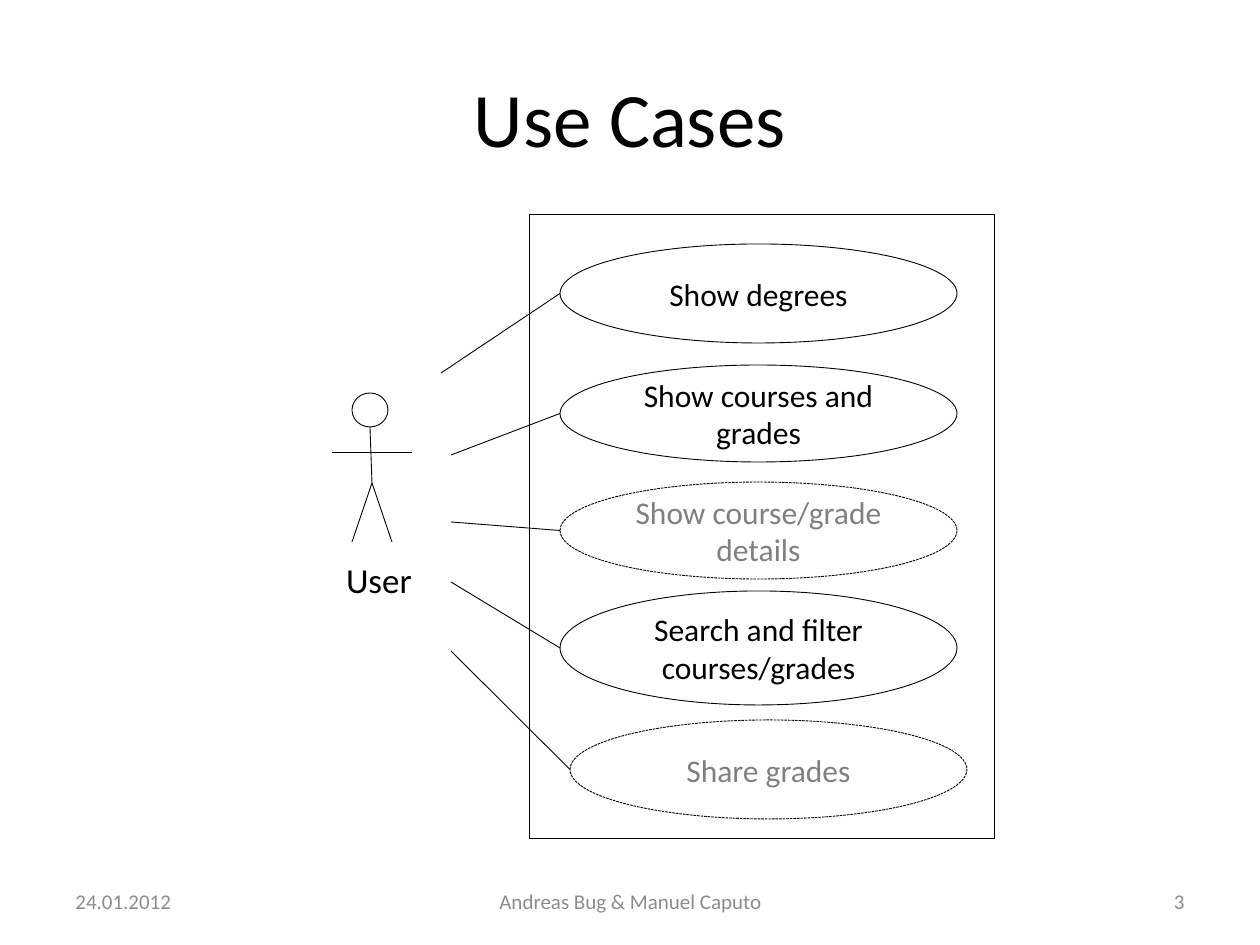
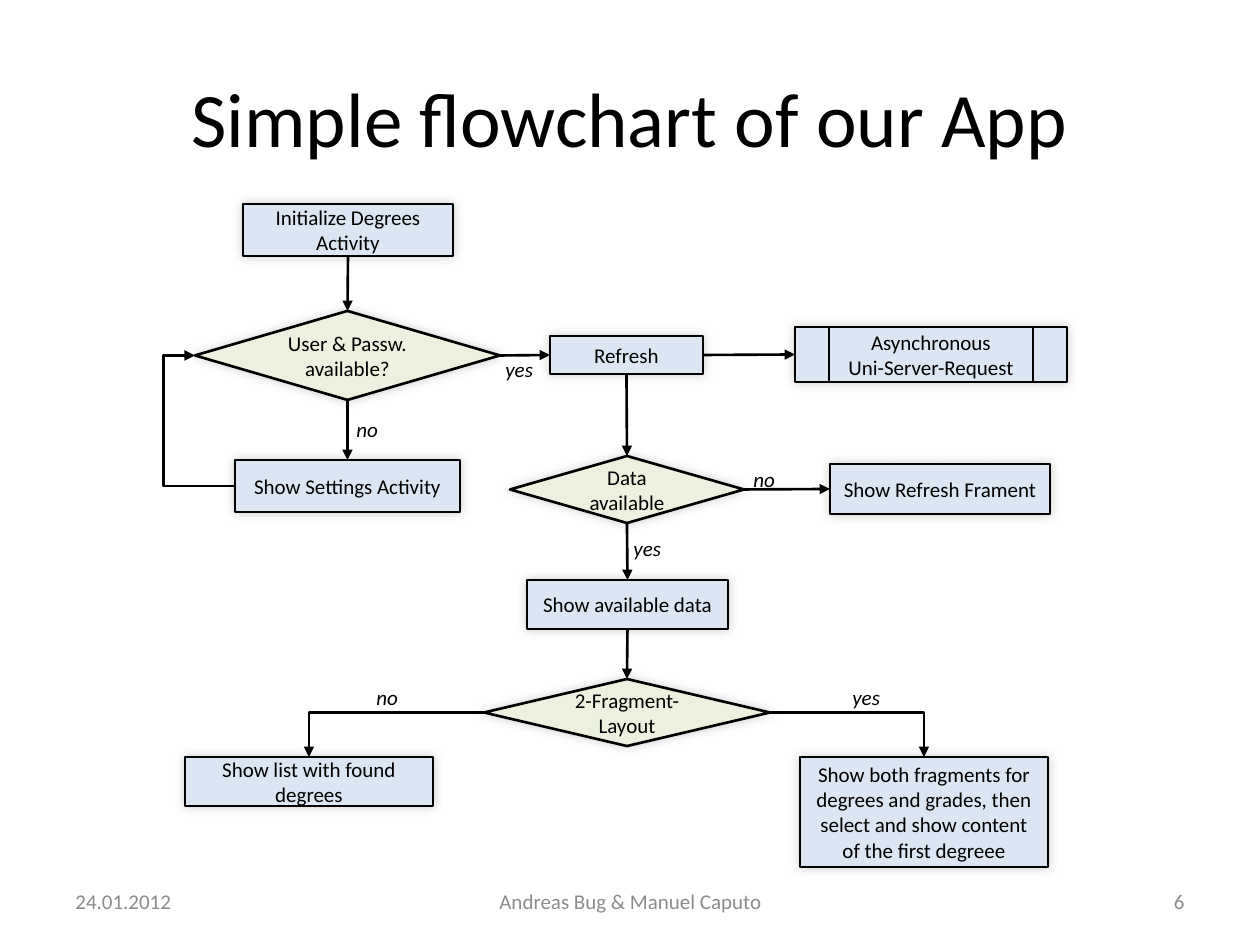
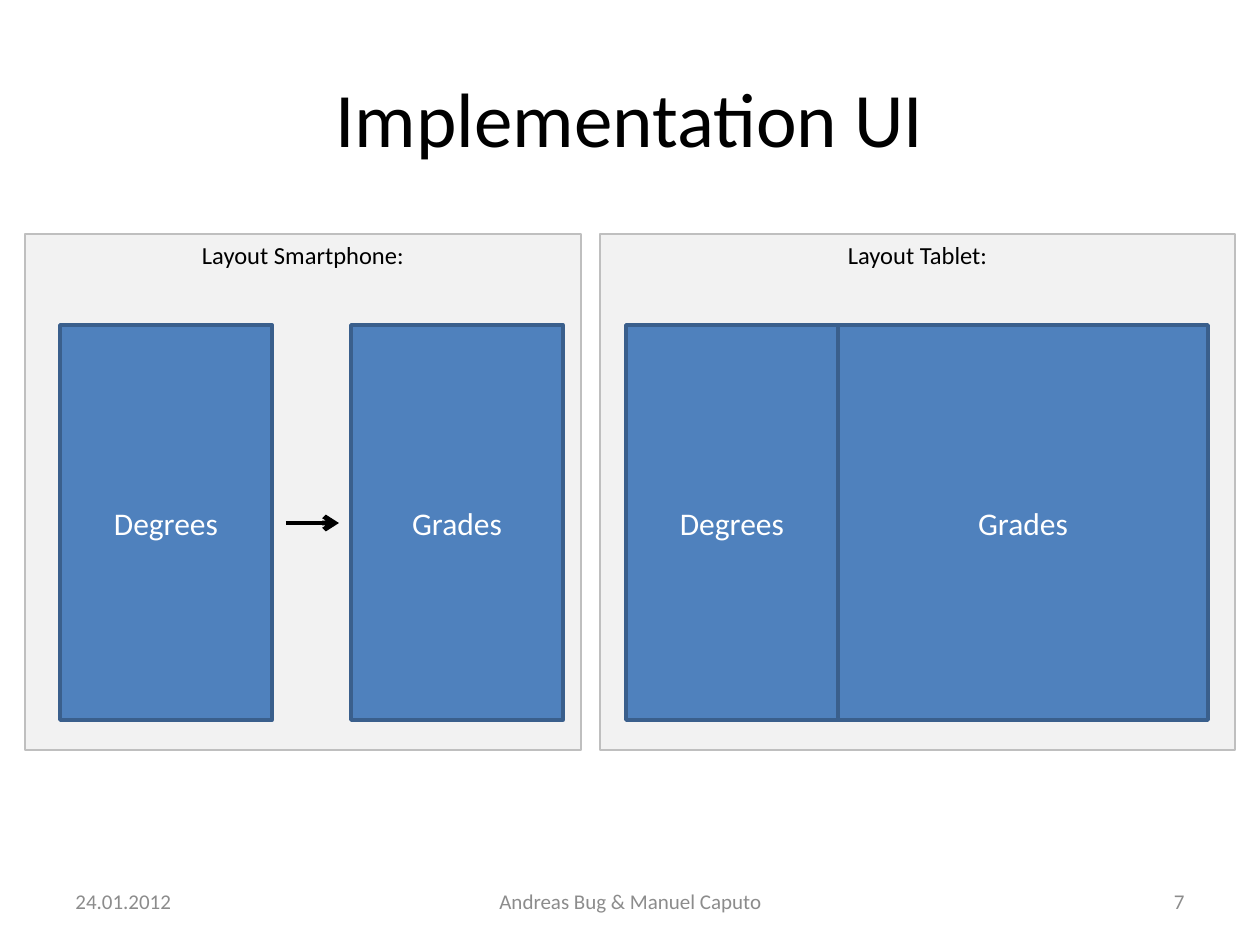
import pptx
import pptx.util
import pptx.dml.color
import pptx.enum.dml
import pptx.enum.shapes
import pptx.enum.text
import pptx.oxml
import pptx.oxml.ns
import lxml.etree

RGBColor = pptx.dml.color.RGBColor
SHAPE = pptx.enum.shapes.MSO_SHAPE
CONNECTOR = pptx.enum.shapes.MSO_CONNECTOR
ALIGN = pptx.enum.text.PP_ALIGN
ANCHOR = pptx.enum.text.MSO_ANCHOR

PX = 914400 / 126
FONT = "Calibri"
BLACK = RGBColor(0x00, 0x00, 0x00)
WHITE = RGBColor(0xFF, 0xFF, 0xFF)
FOOTER_GRAY = RGBColor(0x8C, 0x8C, 0x8C)
OPTIONAL_GRAY = RGBColor(0x80, 0x80, 0x80)
STEP_BLUE = RGBColor(0xDC, 0xE6, 0xF2)
DECISION_GREEN = RGBColor(0xEB, 0xF1, 0xDE)
PANEL_GRAY = RGBColor(0xF2, 0xF2, 0xF2)
PANEL_EDGE = RGBColor(0xBF, 0xBF, 0xBF)
SCREEN_BLUE = RGBColor(0x4F, 0x81, 0xBD)
SCREEN_EDGE = RGBColor(0x3A, 0x5F, 0x8C)

# Sides of a shape, numbered as its connection sites
TOP, LEFT, BOTTOM, RIGHT = range(4)


def add_box(shapes, kind, box, text="", size=18, color=BLACK, align=ALIGN.CENTER,
            anchor=ANCHOR.MIDDLE, fill=None, edge=BLACK, edge_width=0.5):
    """Add a shape of the given kind, or a text box if kind is None."""
    lengths = [round(length * PX) for length in box]
    if kind is None:
        shape = shapes.add_textbox(*lengths)
    else:
        shape = shapes.add_shape(kind, *lengths)
        shape.shadow.inherit = False
        shape.line.color.rgb = edge
        shape.line.width = pptx.util.Pt(edge_width)
        if fill is None:
            shape.fill.background()
        else:
            shape.fill.solid()
            shape.fill.fore_color.rgb = fill
    frame = shape.text_frame
    frame.word_wrap = True
    frame.vertical_anchor = anchor
    frame.text = text
    for paragraph in frame.paragraphs:
        paragraph.alignment = align
        paragraph.font.name = FONT
        paragraph.font.size = pptx.util.Pt(size)
        paragraph.font.color.rgb = color
    return shape


def add_line(shapes, start, end, width=0.5, head=None, kind=CONNECTOR.STRAIGHT):
    line = shapes.add_connector(kind, *[round(length * PX) for length in (*start, *end)])
    line.line.color.rgb = BLACK
    line.line.width = pptx.util.Pt(width)
    properties = line.element.spPr
    if head:
        outline = properties.find(pptx.oxml.ns.qn("a:ln"))
        lxml.etree.SubElement(outline, pptx.oxml.ns.qn("a:tailEnd"), type=head)
    lxml.etree.SubElement(properties, pptx.oxml.ns.qn("a:effectLst"))
    return line


presentation = pptx.Presentation()
presentation.slide_width = round(1260 * PX)
presentation.slide_height = round(945 * PX)

slides = []
for title, number in [("Use Cases", "3"), ("Simple flowchart of our App", "6"),
                      ("Implementation UI", "7")]:
    slide = presentation.slides.add_slide(presentation.slide_layouts[6])
    slides.append(slide)
    add_box(slide.shapes, None, (63, 38, 1134, 158), title, 44)
    for left, width, text, align in [
            (63, 294, "24.01.2012", ALIGN.LEFT),
            (431, 399, "Andreas Bug & Manuel Caputo", ALIGN.CENTER),
            (903, 294, number, ALIGN.RIGHT)]:
        add_box(slide.shapes, None, (left, 876, width, 50), text, 12, FOOTER_GRAY, align)
use_cases, flowchart, user_interface = [slide.shapes for slide in slides]

# Use cases
add_box(use_cases, SHAPE.RECTANGLE, (530, 214, 465, 625))
for left, top, height, text, optional, line_start in [
        (560, 244, 99, "Show degrees", False, (441, 373)),
        (560, 365, 97, "Show courses and grades", False, (451, 455)),
        (560, 482, 97, "Show course/grade details", True, (451, 522)),
        (560, 591, 114, "Search and filter courses/grades", False, (451, 582)),
        (570, 720, 99, "Share grades", True, (451, 651))]:
    ellipse = add_box(use_cases, SHAPE.OVAL, (left, top, 397, height), text,
                      color=OPTIONAL_GRAY if optional else BLACK)
    if optional:
        ellipse.line.dash_style = pptx.enum.dml.MSO_LINE.SQUARE_DOT
    add_line(use_cases, line_start, (left, top + height / 2))

add_box(use_cases, SHAPE.OVAL, (352, 393, 36, 34))
hip = (372, 483)
for start, end in [((370, 427), hip), (hip, (392, 542)), (hip, (352, 542)),
                   ((332, 452), (412, 452))]:
    add_line(use_cases, start, end)
add_box(use_cases, None, (292, 552, 174, 55), "User", 20, anchor=ANCHOR.TOP)

# Flowchart
SHADOW = (f'<a:outerShdw {pptx.oxml.ns.nsdecls("a")} blurRad="76200" dist="0" dir="18900000">'
          '<a:srgbClr val="000000"><a:alpha val="20000"/></a:srgbClr></a:outerShdw>')
STEP = SHAPE.FLOWCHART_PROCESS
DECISION = SHAPE.FLOWCHART_DECISION
REQUEST = SHAPE.FLOWCHART_PREDEFINED_PROCESS
nodes = {}
for name, kind, box, text in [
        ("start", STEP, (243, 204, 210, 52), "Initialize Degrees Activity"),
        ("login", DECISION, (195, 311, 305, 89), "User & Passw. available?"),
        ("refresh", STEP, (550, 336, 153, 38), "Refresh"),
        ("request", REQUEST, (795, 327, 272, 55), "Asynchronous\nUni-Server-Request"),
        ("settings", STEP, (235, 460, 225, 52), "Show Settings Activity"),
        ("data", DECISION, (510, 456, 234, 67), "Data available"),
        ("waiting", STEP, (830, 464, 220, 50), "Show Refresh Frament"),
        ("show", STEP, (527, 580, 201, 49), "Show available data"),
        ("layout", DECISION, (484, 679, 286, 67), "2-Fragment-Layout"),
        ("both", STEP, (800, 757, 248, 110), "Show both fragments for degrees and grades, "
         "then select and show content of the first degreee"),
        ("list", STEP, (185, 757, 248, 49), "Show list with found degrees")]:
    node = add_box(flowchart, kind, box, text, 12, edge_width=1.5,
                   fill=DECISION_GREEN if kind == DECISION else STEP_BLUE)
    effects = node.element.spPr.find(pptx.oxml.ns.qn("a:effectLst"))
    effects.append(pptx.oxml.parse_xml(SHADOW))
    nodes[name] = node

for source, source_side, target, target_side, preset in [
        ("start", BOTTOM, "login", TOP, None),
        ("login", RIGHT, "refresh", LEFT, None),
        ("refresh", RIGHT, "request", LEFT, None),
        ("login", BOTTOM, "settings", TOP, None),
        ("settings", LEFT, "login", LEFT, "bentConnector3"),
        ("refresh", BOTTOM, "data", TOP, None),
        ("data", BOTTOM, "show", TOP, None),
        ("data", RIGHT, "waiting", LEFT, None),
        ("show", BOTTOM, "layout", TOP, None),
        ("layout", RIGHT, "both", TOP, "bentConnector2"),
        ("layout", LEFT, "list", TOP, "bentConnector2")]:
    arrow = add_line(flowchart, (0, 0), (0, 0), 1.5, "triangle",
                     CONNECTOR.ELBOW if preset else CONNECTOR.STRAIGHT)
    arrow.begin_connect(nodes[source], source_side)
    arrow.end_connect(nodes[target], target_side)
    if preset:
        geometry = arrow.element.spPr.find(pptx.oxml.ns.qn("a:prstGeom"))
        geometry.set("prst", preset)
    if preset == "bentConnector3":
        # The loop back bends outside the span between its two ends
        guides = geometry.find(pptx.oxml.ns.qn("a:avLst"))
        lxml.etree.SubElement(guides, pptx.oxml.ns.qn("a:gd"), name="adj1", fmla="val 177900")

for left, top, text in [(344, 410, "no"), (493, 350, "yes"), (621, 529, "yes"),
                        (741, 460, "no"), (364, 678, "no"), (840, 678, "yes")]:
    label = add_box(flowchart, None, (left, top, 59, 38), text, 12,
                    align=ALIGN.LEFT, anchor=ANCHOR.TOP)
    label.text_frame.paragraphs[0].font.italic = True

# Device layouts
for panel_left, panel_width, title, screens in [
        (600, 635, "Layout Tablet:", [(626, 212, "Degrees"), (838, 370, "Grades")]),
        (25, 556, "Layout Smartphone:", [(60, 212, "Degrees"), (351, 212, "Grades")])]:
    device = user_interface.add_group_shape().shapes
    add_box(device, SHAPE.RECTANGLE, (panel_left, 234, panel_width, 516), title, 14,
            anchor=ANCHOR.TOP, fill=PANEL_GRAY, edge=PANEL_EDGE, edge_width=1)
    for left, width, text in screens:
        add_box(device, SHAPE.RECTANGLE, (left, 325, width, 395), text, color=WHITE,
                fill=SCREEN_BLUE, edge=SCREEN_EDGE, edge_width=2)
# The smartphone, added last, switches from one screen to the other
add_line(device, (286, 523), (339, 523), 2.75, "arrow")

presentation.save("out.pptx")
